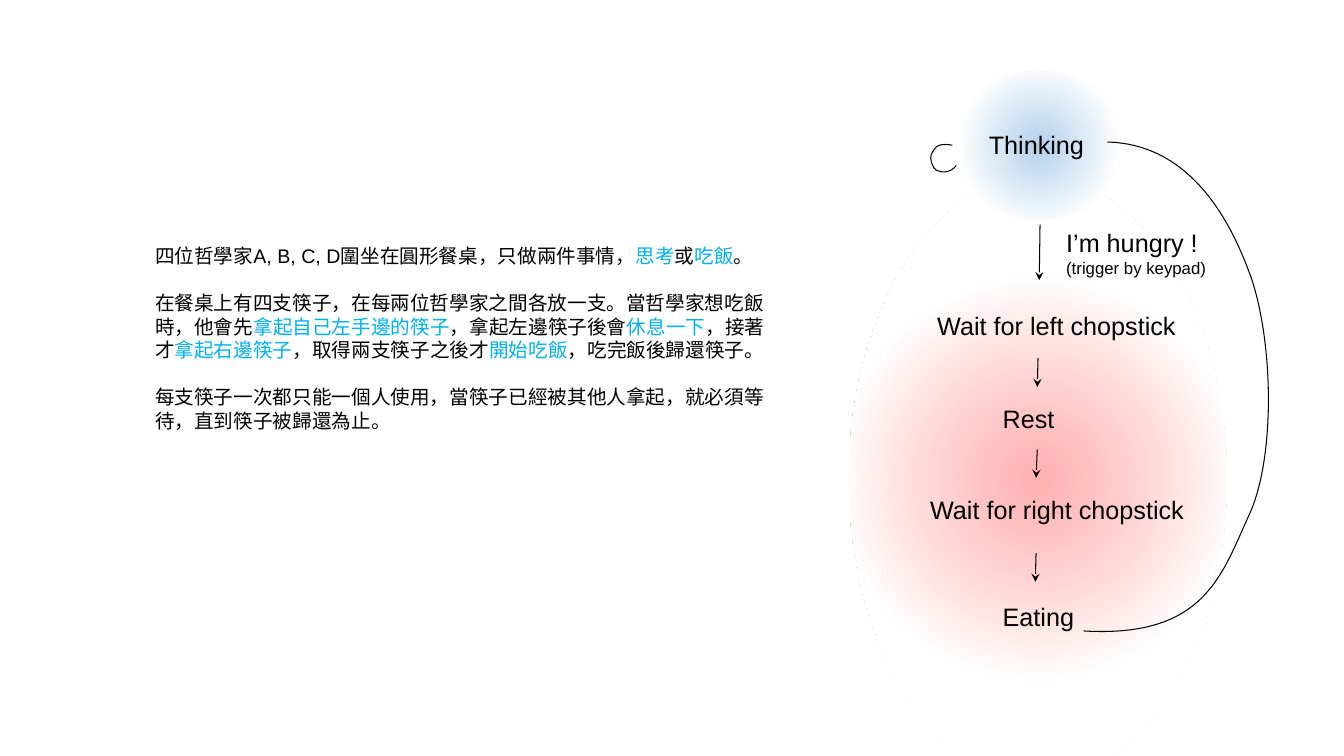
from lxml import etree
from pptx import Presentation
from pptx import util as u
from pptx.dml.color import RGBColor
from pptx.enum import shapes, text
from pptx.oxml import parse_xml
from pptx.oxml.ns import nsdecls, qn


def color(value):
    return RGBColor.from_string(value)


def add_words(left, top, width, height, paragraphs, sizes, gap=0):
    frame = slide.shapes.add_textbox(u.Cm(left), u.Cm(top), u.Cm(width), u.Cm(height)).text_frame
    frame.word_wrap = True
    frame.auto_size = text.MSO_AUTO_SIZE.SHAPE_TO_FIT_TEXT
    frame.text = "\n".join(paragraphs)
    for index, (paragraph, words, size) in enumerate(zip(frame.paragraphs, paragraphs, sizes)):
        paragraph.space_before = u.Pt(gap if index else 0)
        paragraph.text = ""
        for part, piece in enumerate(words.split("|")):
            run = paragraph.add_run()
            run.text = piece
            run.font.name = "Arial"
            run.font.size = u.Pt(size)
            run.font.color.rgb = color("00B0F0" if part % 2 else "000000")


deck = Presentation()
deck.slide_width, deck.slide_height = u.Cm(33.87), u.Cm(19.05)
slide = deck.slides.add_slide(deck.slide_layouts[6])

glows = [
    (21.39, 4.47, 9.53, 15.16, "FFA3A3", 85, 57),
    (23.9, 1.78, 4.57, 3.76, "B3D1EC", 100, 71),
]
for left, top, width, height, center, opacity, fade in glows:
    glow = slide.shapes.add_shape(
        shapes.MSO_SHAPE.OVAL, u.Cm(left), u.Cm(top), u.Cm(width), u.Cm(height))
    glow.shadow.inherit = False
    glow.line.fill.background()
    alpha = f'<a:alpha val="{opacity * 1000}"/>' if opacity < 100 else ""
    gradient = parse_xml(
        f'<a:gradFill {nsdecls("a")} rotWithShape="1"><a:gsLst>'
        f'<a:gs pos="0"><a:srgbClr val="{center}">{alpha}</a:srgbClr></a:gs>'
        f'<a:gs pos="{fade * 1000}"><a:srgbClr val="FFFFFF"/></a:gs>'
        '<a:gs pos="100000"><a:srgbClr val="FFFFFF"/></a:gs></a:gsLst>'
        '<a:path path="circle"><a:fillToRect l="50000" t="50000" r="50000" b="50000"/></a:path>'
        '</a:gradFill>')
    glow.element.spPr.find(qn("a:prstGeom")).addnext(gradient)

states = [
    (24.67, 3.13, 3.38, "Thinking"),
    (23.37, 7.7, 6.58, "Wait for left chopstick"),
    (25.02, 10.03, 2.31, "Rest"),
    (23.19, 12.32, 7.14, "Wait for right chopstick"),
    (25.02, 15.04, 2.57, "Eating"),
]
for left, top, width, state in states:
    add_words(left, top, width, 1.02, [state], [18])
add_words(26.62, 5.61, 4.09, 1.55, ["I’m hungry !", "(trigger by keypad)"], [18, 12])

steps = [
    (26.21, 5.66, 26.19, 7.06),
    (26.16, 9.02, 26.14, 9.75),
    (26.14, 11.33, 26.11, 12.04),
    (26.11, 13.94, 26.09, 14.66),
]
for ends in steps:
    step = slide.shapes.add_connector(shapes.MSO_CONNECTOR.STRAIGHT, *map(u.Cm, ends))
    step.line.color.rgb = color("000000")
    step.line.width = u.Pt(0.75)
    etree.SubElement(step.element.spPr.find(qn("a:ln")), qn("a:tailEnd"), type="stealth")
    etree.SubElement(step.element.spPr, qn("a:effectLst"))

back_to_thinking = [
    (27.31, 15.9), (30.35, 16.08), (30.78, 14.5), (31.47, 13), (32.18, 11.48),
    (32.08, 8.41), (31.47, 6.83), (30.89, 5.28), (29.85, 3.63), (27.91, 3.58),
]
keep_thinking = [
    (24, 3.66), (23.57, 3.58), (23.55, 3.76), (23.47, 3.89), (23.42, 3.99),
    (23.5, 4.24), (23.6, 4.29), (23.7, 4.34), (23.93, 4.39), (24.1, 4.17),
]
loops = [
    (27.31, 3.58, 31.98, 15.92, back_to_thinking),
    (23.45, 3.63, 24.1, 4.33, keep_thinking),
]
for left, top, right, bottom, bends in loops:
    builder = slide.shapes.build_freeform(u.Cm(left), u.Cm(top))
    builder.add_line_segments([(u.Cm(right), u.Cm(bottom))], close=False)
    loop = builder.convert_to_shape()
    loop.shadow.inherit = False
    loop.fill.background()
    loop.line.color.rgb = color("000000")
    loop.line.width = u.Pt(0.75)
    outline = next(loop.element.iter(qn("a:path")))
    for straight in list(outline):
        outline.remove(straight)
    for index, (x, y) in enumerate(bends):
        if index == 0:
            command = etree.SubElement(outline, qn("a:moveTo"))
        elif index % 3 == 1:
            command = etree.SubElement(outline, qn("a:cubicBezTo"))
        etree.SubElement(command, qn("a:pt"), x=str(u.Cm(x) - u.Cm(left)), y=str(u.Cm(y) - u.Cm(top)))

story = [
    "四位哲學家A, B, C, D圍坐在圓形餐桌，只做兩件事情，|思考|或|吃飯|。",
    "在餐桌上有四支筷子，在每兩位哲學家之間各放一支。當哲學家想吃飯時，他會先"
    "|拿起自己左手邊的筷子|，拿起左邊筷子後會|休息一下|，接著才|拿起右邊筷子|"
    "，取得兩支筷子之後才|開始吃飯|，吃完飯後歸還筷子。",
    "每支筷子一次都只能一個人使用，當筷子已經被其他人拿起，就必須等待，直到筷子被歸還為止。",
]
add_words(3.66, 6.02, 16.13, 5.05, story, [14] * 3, gap=16.8)

deck.save("out.pptx")
